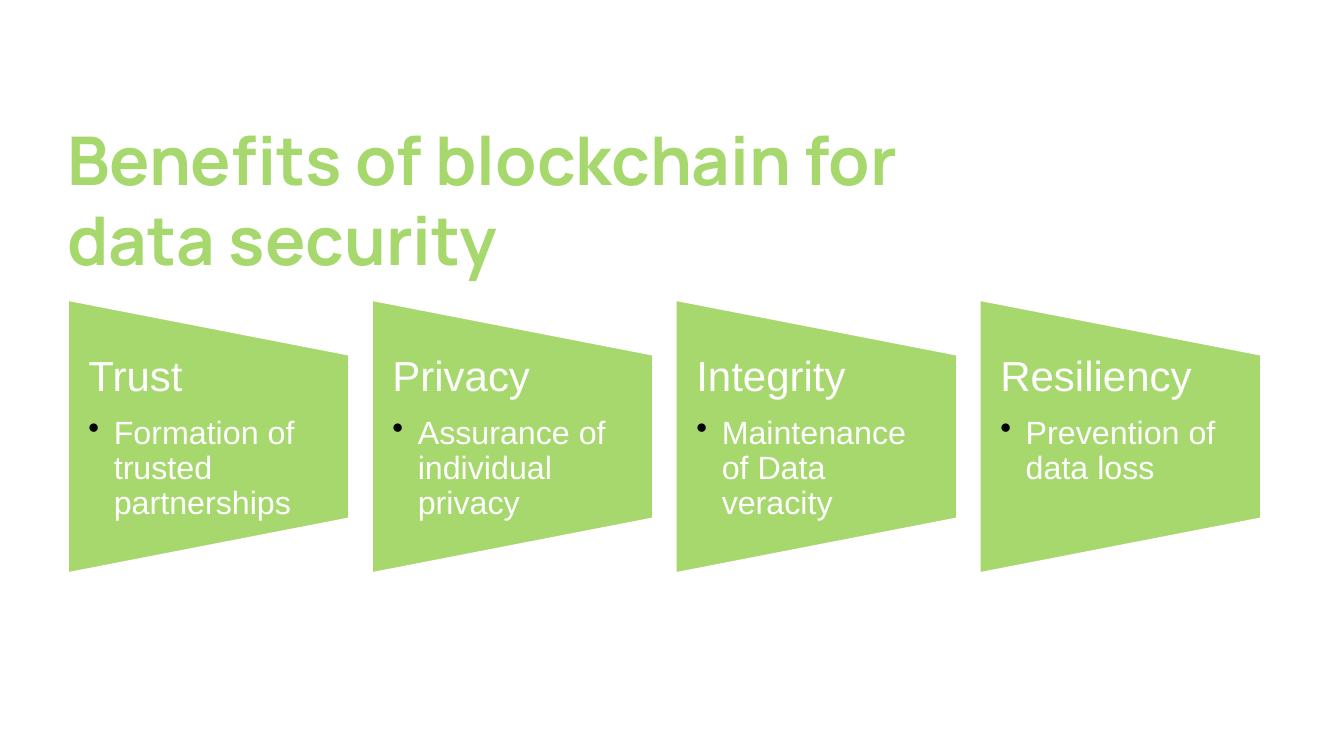
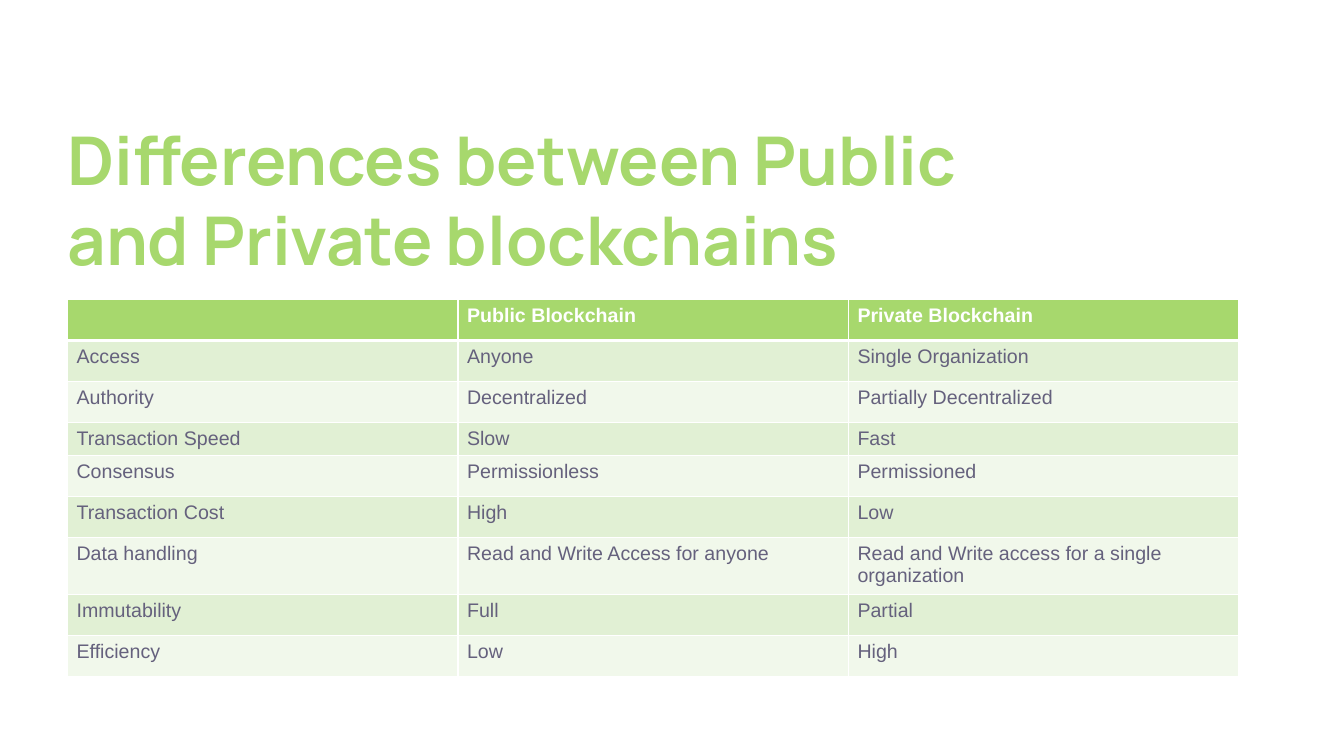
"""Build two slides on blockchain: its security benefits, and public versus private chains."""
from dataclasses import dataclass

from lxml import etree
from pptx import Presentation
from pptx.dml.color import RGBColor
from pptx.enum.shapes import MSO_SHAPE
from pptx.enum.text import MSO_ANCHOR
from pptx.oxml.ns import qn
from pptx.util import Cm, Pt

TRAPEZOID = MSO_SHAPE.FLOWCHART_MANUAL_OPERATION
BOTTOM = MSO_ANCHOR.BOTTOM


@dataclass(frozen=True)
class Theme:
    green: str = "A7D86D"
    band_dark: str = "E1F0D4"
    band_light: str = "F1F8EB"
    white: str = "FFFFFF"
    black: str = "000000"
    slate: str = "65617D"
    title_font: str = "Manrope"
    body_font: str = "Arial"
    title_size: int = 48
    heading_size: int = 30
    bullet_size: int = 23
    table_size: int = 14


theme = Theme()
MARGIN = 1.7


def style(paragraph, size, color, font=theme.body_font, bold=False):
    paragraph.font.name = font
    paragraph.font.size = Pt(size)
    paragraph.font.bold = bold
    paragraph.font.color.rgb = RGBColor.from_string(color)


def add_titled_slide(title):
    slide = prs.slides.add_slide(prs.slide_layouts[6])
    frame = slide.shapes.add_textbox(Cm(MARGIN), Cm(3.86), Cm(23.34), Cm(3.18)).text_frame
    frame.word_wrap = True
    frame.vertical_anchor = BOTTOM
    frame.margin_left = frame.margin_right = frame.margin_top = frame.margin_bottom = 0
    frame.text = title
    style(frame.paragraphs[0], theme.title_size, theme.green, theme.title_font, True)
    return slide


prs = Presentation()
prs.slide_width, prs.slide_height = Cm(33.87), Cm(19.05)

benefits_slide = add_titled_slide("Benefits of blockchain for data security")
benefits = [
    ("Trust", "Formation of trusted partnerships"),
    ("Privacy", "Assurance of individual privacy"),
    ("Integrity", "Maintenance of Data veracity"),
    ("Resiliency", "Prevention of data loss"),
]
CARD_WIDTH, CARD_HEIGHT, CARD_PITCH, CARD_MIDDLE = 7.11, 6.91, 7.66, 11

for index, (heading, detail) in enumerate(benefits):
    left = MARGIN + index * CARD_PITCH
    card = benefits_slide.shapes.add_shape(
        TRAPEZOID,
        Cm(left + (CARD_WIDTH - CARD_HEIGHT) / 2), Cm(CARD_MIDDLE - CARD_WIDTH / 2),
        Cm(CARD_HEIGHT), Cm(CARD_WIDTH))
    card.rotation = 270
    card.shadow.inherit = False
    card.fill.solid()
    card.fill.fore_color.rgb = RGBColor.from_string(theme.green)
    card.line.color.rgb = RGBColor.from_string(theme.white)
    card.line.width = Pt(2)

    frame = benefits_slide.shapes.add_textbox(
        Cm(left), Cm(8.94), Cm(CARD_WIDTH), Cm(4.14)).text_frame
    frame.word_wrap = True
    frame.margin_left = frame.margin_right = Cm(0.53)
    frame.margin_top = frame.margin_bottom = 0
    frame.text = f"{heading}\n{detail}"
    heading_line, detail_line = frame.paragraphs
    heading_line.line_spacing = detail_line.line_spacing = 0.9
    heading_line.space_after = Pt(12)
    detail_line.space_after = Pt(4)
    indent = Cm(0.64)
    properties = detail_line._p.get_or_add_pPr()
    properties.set("marL", str(indent))
    properties.set("indent", str(-indent))
    bullet_color = etree.SubElement(properties, qn("a:buClr"))
    etree.SubElement(bullet_color, qn("a:srgbClr"), val=theme.black)
    etree.SubElement(properties, qn("a:buChar"), char="•")
    style(heading_line, theme.heading_size, theme.white)
    style(detail_line, theme.bullet_size, theme.white)

differences_slide = add_titled_slide("Differences between Public and Private blockchains")
differences = [
    ("", "Public Blockchain", "Private Blockchain"),
    ("Access", "Anyone", "Single Organization"),
    ("Authority", "Decentralized", "Partially Decentralized"),
    ("Transaction Speed", "Slow", "Fast"),
    ("Consensus", "Permissionless", "Permissioned"),
    ("Transaction Cost", "High", "Low"),
    ("Data handling", "Read and Write Access for anyone",
     "Read and Write access for a single organization"),
    ("Immutability", "Full", "Partial"),
    ("Efficiency", "Low", "High"),
]
COLUMN_WIDTH, ROW_HEIGHT, SPEED_ROW_HEIGHT = 9.84, 1.03, 0.64
table = differences_slide.shapes.add_table(
    len(differences), 3, Cm(MARGIN), Cm(7.55),
    Cm(3 * COLUMN_WIDTH), Cm(len(differences) * ROW_HEIGHT)).table
for column in table.columns:
    column.width = Cm(COLUMN_WIDTH)

for row_index, values in enumerate(differences):
    is_header = row_index == 0
    is_speed = values[0] == "Transaction Speed"
    table.rows[row_index].height = Cm(SPEED_ROW_HEIGHT if is_speed else ROW_HEIGHT)
    band = theme.band_dark if row_index % 2 else theme.band_light
    borders = {"lnL": 1, "lnR": 1, "lnT": 3 if row_index == 1 else 1, "lnB": 3 if is_header else 1}
    for column_index, value in enumerate(values):
        cell = table.cell(row_index, column_index)
        cell.text = value
        cell.margin_left = cell.margin_right = Cm(0.23)
        cell.fill.solid()
        cell.fill.fore_color.rgb = RGBColor.from_string(theme.green if is_header else band)
        style(cell.text_frame.paragraphs[0], theme.table_size,
              theme.white if is_header else theme.slate, bold=is_header)
        cell_properties = cell._tc.get_or_add_tcPr()
        for position, (side, width) in enumerate(borders.items()):
            border = etree.Element(qn(f"a:{side}"), w=str(Pt(width)))
            border_fill = etree.SubElement(border, qn("a:solidFill"))
            etree.SubElement(border_fill, qn("a:srgbClr"), val=theme.white)
            cell_properties.insert(position, border)

prs.save("out.pptx")
